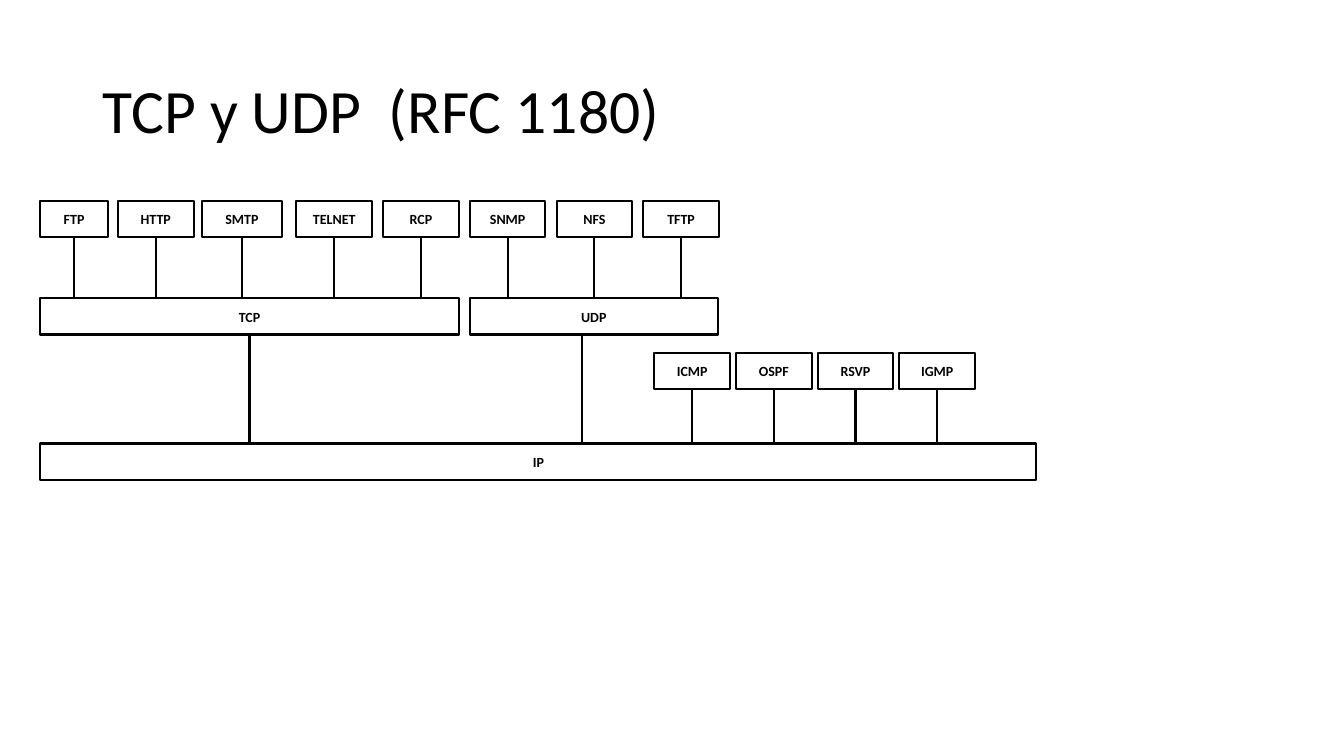
from dataclasses import dataclass

from pptx import Presentation
from pptx.dml.color import RGBColor
from pptx.enum.shapes import MSO_CONNECTOR as CONN, MSO_SHAPE as SHAPE
from pptx.enum.text import MSO_ANCHOR as ANCHOR, MSO_AUTO_SIZE as AUTO, PP_ALIGN as ALIGN
from pptx.oxml.ns import qn
from pptx.util import Inches, Pt


@dataclass(frozen=True)
class Theme:
    ink: RGBColor = RGBColor(0, 0, 0)
    font: str = "Calibri"
    title_size: Pt = Pt(44)
    label_size: Pt = Pt(10)
    line_width: Pt = Pt(1.5)


THEME = Theme()
BOX_H, BOX_W = 0.36, 0.75
BOTTOM, TOP = 2, 0

# Columns are (protocol, offset from the group's left, width).
PITCH = 0.86
TCP_USERS = [("FTP", 0, 0.67), ("HTTP", 0.77, BOX_W), ("SMTP", 1.6, 0.8)]
TCP_USERS += [(name, 2.54 + i * PITCH, BOX_W) for i, name in enumerate(["TELNET", "RCP"])]
UDP_USERS = [(name, i * PITCH, BOX_W) for i, name in enumerate(["SNMP", "NFS", "TFTP"])]
IP_USERS = [(name, i * 0.81, BOX_W) for i, name in enumerate(["ICMP", "OSPF", "RSVP", "IGMP"])]


def style_run(p, size, bold=False):
    for r in p.runs:
        r.font.name, r.font.size, r.font.bold = THEME.font, size, bold
        r.font.color.rgb = THEME.ink


def add_title(slide, text, box):
    sp = slide.shapes.title
    sp.left, sp.top, sp.width, sp.height = map(Inches, box)
    tf = sp.text_frame
    tf.text = text
    tf.auto_size, tf.vertical_anchor = AUTO.NONE, ANCHOR.MIDDLE
    p = tf.paragraphs[0]
    p.alignment, p.line_spacing = ALIGN.LEFT, 0.9
    style_run(p, THEME.title_size)


def add_protocol(slide, name, left, top, width):
    sp = slide.shapes.add_shape(SHAPE.RECTANGLE, *map(Inches, (left, top, width, BOX_H)))
    sp.shadow.inherit = False
    sp.fill.background()
    sp.line.color.rgb, sp.line.width = THEME.ink, THEME.line_width
    tf = sp.text_frame
    tf.text = name
    tf.vertical_anchor = ANCHOR.MIDDLE
    p = tf.paragraphs[0]
    p.alignment = ALIGN.CENTER
    style_run(p, THEME.label_size, bold=True)
    return sp


def drop_line(slide, upper, lower, x=None):
    """Run a vertical line between two boxes, from the upper one's middle unless x is given."""
    mid = upper.left + upper.width // 2 if x is None else Inches(x)
    line = slide.shapes.add_connector(CONN.STRAIGHT, mid, upper.top + upper.height, mid, lower.top)
    if x is None:
        line.begin_connect(upper, BOTTOM)
    line.line.color.rgb, line.line.width = THEME.ink, THEME.line_width
    sp_pr = line._element.spPr
    sp_pr.append(sp_pr.makeelement(qn("a:effectLst"), {}))


def add_users(slide, users, left, top, carrier):
    """Draw a row of protocols and join each to the carrier below."""
    for name, offset, width in users:
        drop_line(slide, add_protocol(slide, name, left + offset, top, width), carrier)


def add_transport(slide, name, users, box):
    """Draw a transport bar along the bottom of the box, under its users."""
    left, top, width, height = box
    bar = add_protocol(slide, name, left, top + height - BOX_H, width)
    add_users(slide, users, left, top, bar)
    return bar


def add_protocol_stack(slide, box):
    left, top, width, height = box
    ip = add_protocol(slide, "IP", left, top + height - BOX_H, width)
    tcp = add_transport(slide, "TCP", TCP_USERS, (left, top, 4.15, 1.33))
    udp = add_transport(slide, "UDP", UDP_USERS, (left + 4.26, top, 2.46, 1.33))
    drop_line(slide, tcp, ip)
    drop_line(slide, udp, ip, left + 5.37)
    add_users(slide, IP_USERS, left + 6.09, top + 1.51, ip)


def main():
    prs = Presentation()
    prs.slide_width, prs.slide_height = Inches(13.33), Inches(7.5)
    slide = prs.slides.add_slide(prs.slide_layouts[5])
    add_title(slide, "TCP y UDP  (RFC 1180)", (0.92, 0.4, 11.5, 1.45))
    add_protocol_stack(slide, (0.4, 1.99, 9.88, 2.77))
    prs.save("out.pptx")


if __name__ == "__main__":
    main()
